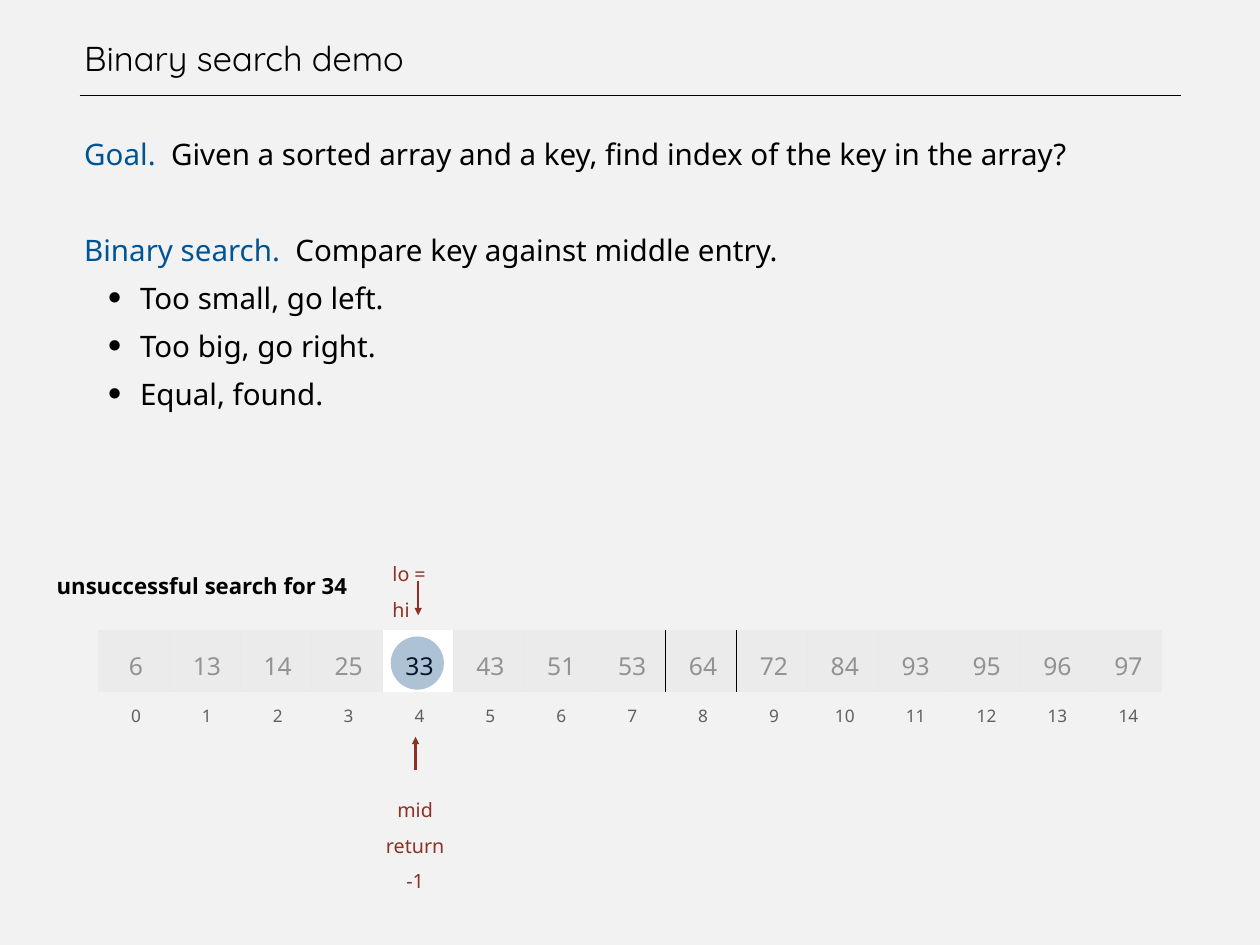
import dataclasses

import lxml.etree
import pptx
import pptx.dml.color
import pptx.enum.shapes
import pptx.enum.text
import pptx.oxml.ns
import pptx.util

Inches = pptx.util.Inches
Pt = pptx.util.Pt
qn = pptx.oxml.ns.qn
PP_ALIGN = pptx.enum.text.PP_ALIGN
MSO_ANCHOR = pptx.enum.text.MSO_ANCHOR
MSO_AUTO_SIZE = pptx.enum.text.MSO_AUTO_SIZE


@dataclasses.dataclass(frozen=True)
class Theme:
    heading: str = "Quicksand"
    text: str = "Noto Sans"
    background: str = "F2F2F2"
    black: str = "000000"
    blue: str = "005493"
    red: str = "8D3124"
    disc: str = "0C4681"
    active: str = "FFFFFF"
    inactive: str = "EBEBEB"
    grid: str = "E7EAEB"
    muted: str = "929292"
    index: str = "606060"
    title_pt: int = 28
    body_pt: int = 24
    value_pt: int = 20
    caption_pt: int = 18
    label_pt: int = 16
    index_pt: int = 14


THEME = Theme()
KEYS = [6, 13, 14, 25, 33, 43, 51, 53, 64, 72, 84, 93, 95, 96, 97]
MID = 4
MARKED = 8
NO_STYLE = "{2D5ABB26-0587-4C30-8999-92F81FD0307C}"


def rgb(value):
    return pptx.dml.color.RGBColor.from_string(value)


def sub(parent, tag, **attrs):
    return lxml.etree.SubElement(parent, qn(tag), attrs)


def style(p, size, color, font=THEME.text, bold=False, align=PP_ALIGN.LEFT,
          spacing=1.0, left=0.06, hanging=0.0):
    p.alignment = align
    p.line_spacing = spacing
    p.space_before = Pt(0)
    p.font.name, p.font.size, p.font.bold = font, Pt(size), bold
    p.font.color.rgb = rgb(color)
    pPr = p._p.get_or_add_pPr()
    pPr.set("marL", str(Inches(left)))
    pPr.set("indent", str(Inches(-hanging)))


def place(sp, box, anchor):
    sp.left, sp.top, sp.width, sp.height = map(Inches, box)
    tf = sp.text_frame
    tf.margin_left = tf.margin_right = tf.margin_top = tf.margin_bottom = 0
    tf.vertical_anchor = anchor
    tf.word_wrap = True
    tf.auto_size = MSO_AUTO_SIZE.NONE
    return tf


def add_line(s, start, end, color, width, arrow=False):
    line = s.shapes.add_connector(pptx.enum.shapes.MSO_CONNECTOR.STRAIGHT,
                                  *map(Inches, start + end))
    line.line.color.rgb = rgb(color)
    line.line.width = Pt(width)
    if arrow:
        sub(line.line._get_or_add_ln(), "a:tailEnd", type="triangle")
    sub(line._element.spPr, "a:effectLst")


def add_label(s, box, lines, size, color, bold=False, align=PP_ALIGN.LEFT):
    tf = s.shapes.add_textbox(*map(Inches, box)).text_frame
    tf.margin_left = tf.margin_right = Inches(0.06)
    tf.margin_top = tf.margin_bottom = Inches(0.06)
    tf.word_wrap = False
    tf.auto_size = MSO_AUTO_SIZE.SHAPE_TO_FIT_TEXT
    tf.text = "\n".join(lines)
    for p in tf.paragraphs:
        style(p, size, color, bold=bold, align=align, spacing=1.5)


def add_title(s, box):
    left, top, width, height = box
    tf = place(s.shapes.title, box, MSO_ANCHOR.BOTTOM)
    tf.text = "Binary search demo"
    style(tf.paragraphs[0], THEME.title_pt, THEME.black, font=THEME.heading)
    rule_y = top + height + 0.19
    add_line(s, (left + 0.01, rule_y), (left + width, rule_y), THEME.black, 1)


def add_body(s, box):
    tf = place(s.placeholders[1], box, MSO_ANCHOR.TOP)
    statements = [
        ("Goal. ", " Given a sorted array and a key, find index of the key in the array?"),
        ("Binary search. ", " Compare key against middle entry."),
    ]
    rules = ["Too small, go left.", "Too big, go right.", "Equal, found."]
    spacing = Pt(39)
    for i, (term, text) in enumerate(statements):
        p = tf.add_paragraph() if i else tf.paragraphs[0]
        sub(p._p.get_or_add_pPr(), "a:buNone")
        style(p, THEME.body_pt, THEME.black, spacing=spacing)
        p.space_before = spacing * i
        r = p.add_run()
        r.text = term
        r.font.color.rgb = rgb(THEME.blue)
        p.add_run().text = text
    for rule in rules:
        p = tf.add_paragraph()
        p.text = rule
        p.level = 1
        pPr = p._p.get_or_add_pPr()
        sub(sub(pPr, "a:buClr"), "a:srgbClr", val=THEME.black)
        sub(pPr, "a:buSzPct", val="166000")
        sub(pPr, "a:buFont", typeface=THEME.text)
        sub(pPr, "a:buChar", char="・")
        style(p, THEME.body_pt, THEME.black, spacing=spacing, left=0.69, hanging=0.56)


def fill_cell(cell, text, size, color):
    cell.text = str(text)
    cell.vertical_anchor = MSO_ANCHOR.MIDDLE
    cell.margin_left = cell.margin_right = Inches(0.06)
    cell.margin_top = cell.margin_bottom = Inches(0.05)
    style(cell.text_frame.paragraphs[0], size, color, align=PP_ALIGN.CENTER,
          spacing=1.3, left=0.05)


def add_border(cell, side, color):
    ln = sub(cell._tc.get_or_add_tcPr(), side, w=str(Pt(0.45)))
    sub(sub(ln, "a:solidFill"), "a:srgbClr", val=color)


def add_array(s, box):
    left, top, width, height = box
    table = s.shapes.add_table(2, len(KEYS), *map(Inches, box)).table
    table.first_row = table.horz_banding = False
    table._tbl.tblPr.find(qn("a:tableStyleId")).text = NO_STYLE
    for row, row_height in zip(table.rows, (0.7, height - 0.7)):
        row.height = Inches(row_height)
    for i, key in enumerate(KEYS):
        table.columns[i].width = Inches(width / len(KEYS))
        value, index = table.cell(0, i), table.cell(1, i)
        fill_cell(value, key, THEME.value_pt, THEME.black if i == MID else THEME.muted)
        fill_cell(index, i, THEME.index_pt, THEME.index)
        for side, edge in (("a:lnL", i), ("a:lnR", i + 1)):
            if 0 < edge < len(KEYS):
                marked = edge in (MARKED, MARKED + 1)
                add_border(value, side, THEME.black if marked else THEME.grid)
        value.fill.solid()
        value.fill.fore_color.rgb = rgb(THEME.active if i == MID else THEME.inactive)
        index.fill.background()


def add_pointers(s, box):
    left, top, width, height = box
    bottom = top + height
    center = left + (MID + 0.5) * width / len(KEYS)
    add_label(s, (center - 0.4, top - 0.96, 0.8, 0.51), ["lo = hi"],
              THEME.label_pt, THEME.red)
    add_line(s, (center + 0.01, top - 0.56), (center + 0.01, top - 0.17),
             THEME.red, 2, arrow=True)
    add_label(s, (center - 0.6, bottom + 0.58, 1.09, 0.91), ["mid", "return -1"],
              THEME.label_pt, THEME.red, align=PP_ALIGN.CENTER)
    add_line(s, (center - 0.02, bottom + 0.46), (center - 0.02, bottom + 0.08),
             THEME.red, 2, arrow=True)
    disc = s.shapes.add_shape(pptx.enum.shapes.MSO_SHAPE.OVAL,
                              *map(Inches, (center - 0.3, top + 0.07, 0.6, 0.6)))
    disc.shadow.inherit = False
    disc.line.fill.background()
    disc.fill.solid()
    disc.fill.fore_color.rgb = rgb(THEME.disc)
    color = disc._element.spPr.find(qn("a:solidFill")).find(qn("a:srgbClr"))
    sub(color, "a:alpha", val="33000")


def main():
    prs = pptx.Presentation()
    prs.slide_width, prs.slide_height = Inches(14.22), Inches(10.66)
    s = prs.slides.add_slide(prs.slide_layouts[1])
    s.background.fill.solid()
    s.background.fill.fore_color.rgb = rgb(THEME.background)
    array_box = (1.11, 7.11, 12, 1.12)
    add_title(s, (0.89, 0, 12.44, 0.89))
    add_body(s, (0.89, 1.39, 12.44, 8.89))
    add_array(s, array_box)
    add_pointers(s, array_box)
    add_label(s, (0.52, 6.25, 3.46, 0.56), ["unsuccessful search for 34"],
              THEME.caption_pt, THEME.black, bold=True)
    prs.save("out.pptx")


if __name__ == "__main__":
    main()
